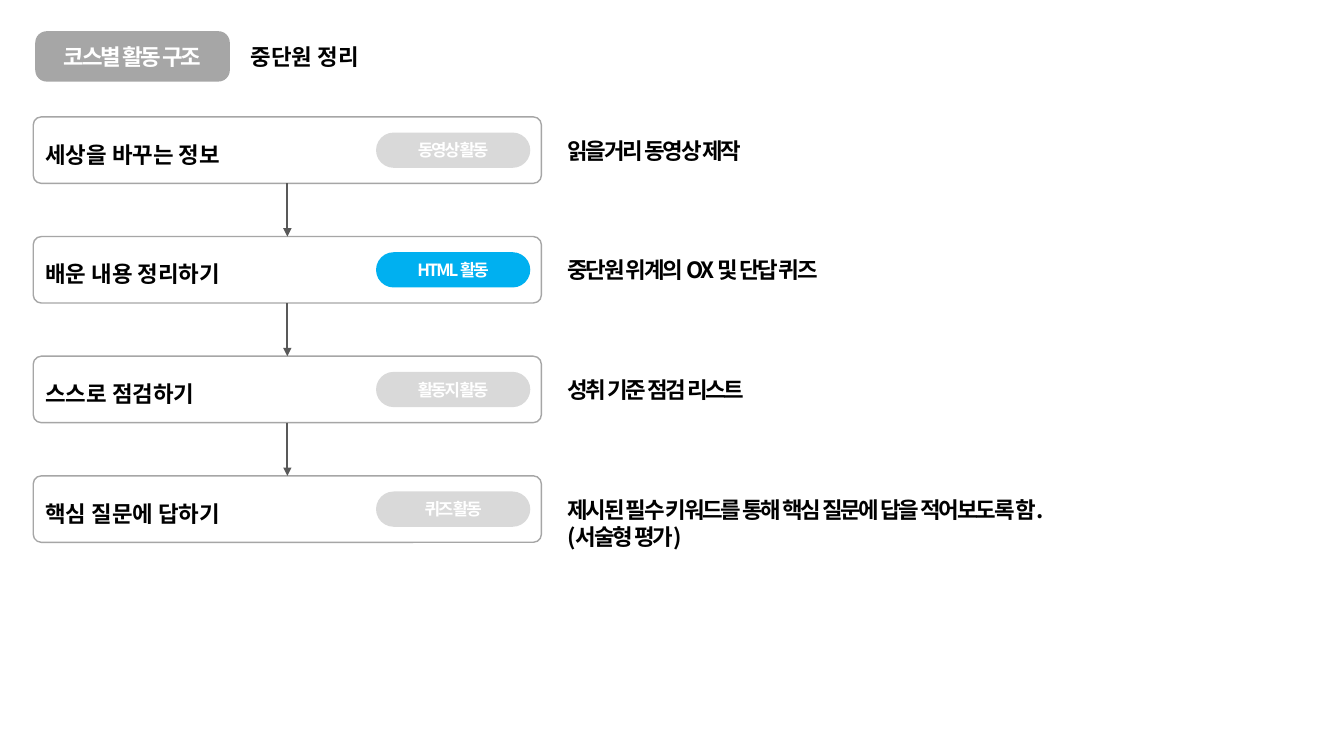
from lxml import etree
from pptx import Presentation, util as u
from pptx.dml.color import RGBColor
from pptx.enum import shapes, text
from pptx.oxml.ns import qn

FONT = "Noto Sans CJK KR"
BLACK = RGBColor(0, 0, 0)
WHITE = RGBColor(0xFF, 0xFF, 0xFF)
GRAY = RGBColor(0xA6, 0xA6, 0xA6)
PALE = RGBColor(0xD9, 0xD9, 0xD9)
DARK = RGBColor(0x59, 0x59, 0x59)
BLUE = RGBColor(0x00, 0xB0, 0xF0)

LABEL, TITLE = "코스별 활동 구조", "중단원 정리"
# step, kind of activity, pill colour, notes, width of notes
STEPS = [
    ("세상을 바꾸는 정보", "동영상 활동", PALE, ["읽을거리 동영상 제작"], 6.28),
    ("배운 내용 정리하기", "HTML 활동", BLUE, ["중단원 위계의 OX 및 단답 퀴즈"], 6.67),
    ("스스로 점검하기", "활동지 활동", PALE, ["성취 기준 점검 리스트"], 5.88),
    ("핵심 질문에 답하기", "퀴즈 활동", PALE,
     ["제시된 필수 키워드를 통해 핵심 질문에 답을 적어보도록 함.", "(서술형 평가)"], 5.88),
]
LEFT, TOP, WIDE, HIGH = 0.33, 1.16, 5.04, 0.66
PITCH = 1.187
PILL_X, PILL_W, PILL_H = 3.73, 1.53, 0.35
NOTE_X = 5.53
TIGHT = -150

deck = Presentation()
deck.slide_width, deck.slide_height = u.Inches(13.33), u.Inches(7.5)
slide = deck.slides.add_slide(deck.slide_layouts[6])


def write(shape, lines, size=16, color=BLACK, gap=0, align=text.PP_ALIGN.LEFT, lead=None):
    """Fill a shape with bold lines; gap is letter spacing in 1/100 pt."""
    frame = shape.text_frame
    frame.word_wrap = True
    for i, line in enumerate(lines):
        para = frame.add_paragraph() if i else frame.paragraphs[0]
        para.alignment = align
        if lead:
            para.line_spacing = lead
        run = para.add_run()
        run.text = line
        font = run.font
        font.size, font.bold, font.name = u.Pt(size), True, FONT
        font.color.rgb = color
        props = run._r.get_or_add_rPr()
        if gap:
            props.set("spc", str(gap))
        etree.SubElement(props, qn("a:ea")).set("typeface", FONT)


def box(x, y, w, h, bend, fill=None):
    """Add a rounded box: filled, or else outlined in gray."""
    shape = slide.shapes.add_shape(
        shapes.MSO_SHAPE.ROUNDED_RECTANGLE, *map(u.Inches, (x, y, w, h)))
    shape.adjustments[0] = bend
    shape.shadow.inherit = False
    if fill is None:
        shape.fill.background()
        shape.line.color.rgb = GRAY
        shape.line.width = u.Pt(1)
    else:
        shape.fill.solid()
        shape.fill.fore_color.rgb = fill
        shape.line.fill.background()
    shape.text_frame.vertical_anchor = text.MSO_ANCHOR.MIDDLE
    return shape


def note(x, y, w, h, lines, gap=0):
    area = slide.shapes.add_textbox(*map(u.Inches, (x, y, w, h)))
    write(area, lines, gap=gap)
    area.text_frame.auto_size = text.MSO_AUTO_SIZE.SHAPE_TO_FIT_TEXT


def arrow(x, start, end):
    link = slide.shapes.add_connector(
        shapes.MSO_CONNECTOR.STRAIGHT, *map(u.Inches, (x, start, x, end)))
    link.line.color.rgb = DARK
    link.line.width = u.Pt(1.25)
    etree.SubElement(link.line._get_or_add_ln(), qn("a:tailEnd")).set("type", "triangle")
    etree.SubElement(link._element.spPr, qn("a:effectLst"))


note(2.39, 0.38, 5.29, 0.37, [TITLE])
write(box(0.35, 0.31, 1.93, 0.5, 0.226, GRAY), [LABEL], 16, WHITE, TIGHT,
      text.PP_ALIGN.CENTER)

for i, (step, kind, color, lines, width) in enumerate(STEPS):
    y = TOP + i * PITCH
    write(box(LEFT, y, WIDE, HIGH, 0.122), [step], lead=1.3)
    pill = box(PILL_X, y + (HIGH - PILL_H) / 2, PILL_W, PILL_H, 0.5, color)
    write(pill, [kind], 12, WHITE, TIGHT, text.PP_ALIGN.CENTER)
    note(NOTE_X, y + 0.15, width, 0.1 + 0.27 * len(lines), lines, TIGHT)
    if i:
        arrow(LEFT + WIDE / 2, y - PITCH + HIGH, y)

deck.save("out.pptx")
